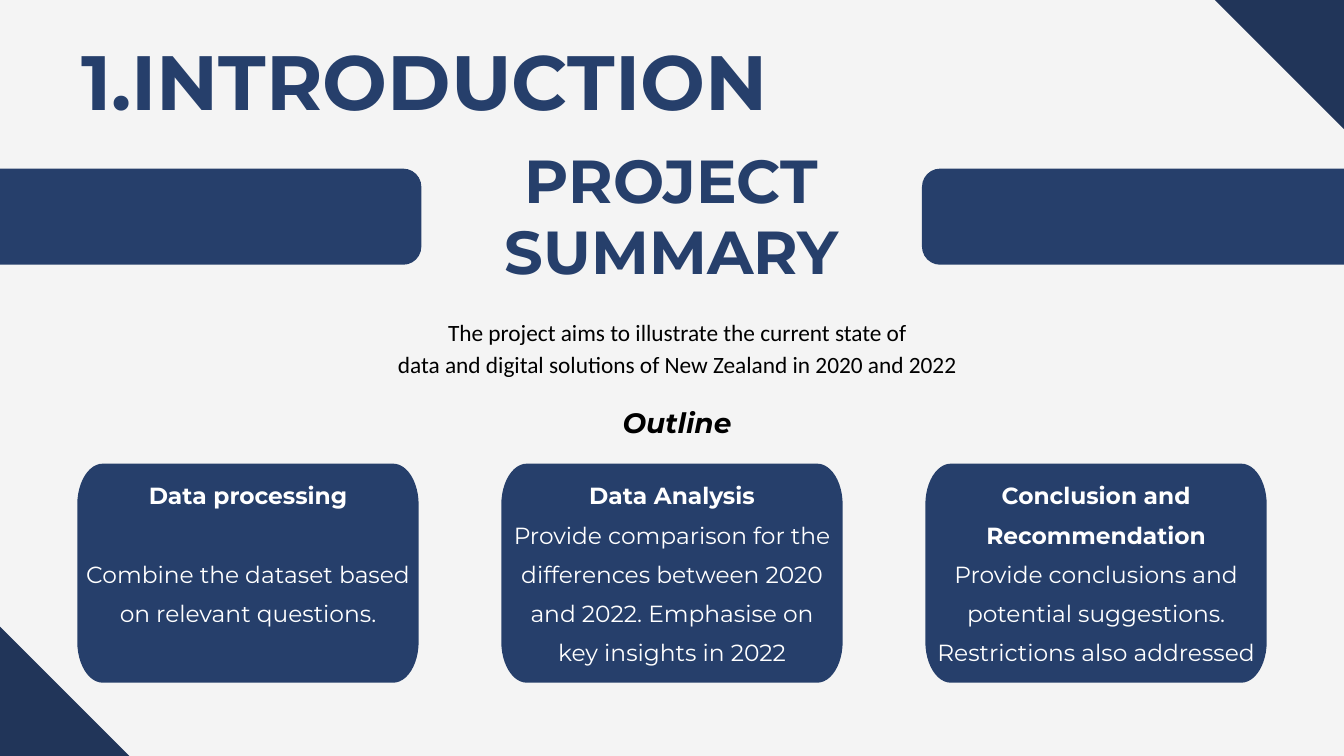
import math

from lxml import etree
from pptx import Presentation
from pptx.dml.color import RGBColor
from pptx.enum.shapes import MSO_SHAPE
from pptx.enum.text import MSO_ANCHOR, MSO_AUTO_SIZE, PP_ALIGN
from pptx.oxml.ns import qn
from pptx.util import Inches, Pt

RECTANGLE, ROUNDED = MSO_SHAPE.RECTANGLE, MSO_SHAPE.ROUNDED_RECTANGLE
TOP = MSO_ANCHOR.TOP
FIT_SHAPE = MSO_AUTO_SIZE.SHAPE_TO_FIT_TEXT
LEFT, CENTER = PP_ALIGN.LEFT, PP_ALIGN.CENTER

NAVY, DARK_NAVY, PALE, WHITE, BLACK = "263F6B", "213559", "F4F4F4", "FFFFFF", "000000"
HEADING_FONT, BODY_FONT = "Montserrat", "Calibri"

SECTION = "INTRODUCTION"
TITLE = "PROJECT SUMMARY"
AIMS = [
    "The project aims to illustrate the current state of",
    "data and digital solutions of New Zealand in 2020 and 2022",
]
OUTLINE = "Outline"
CARDS = [
    ("Data processing", "Combine the dataset based on relevant questions.", 42),
    ("Data Analysis", "Provide comparison for the differences between 2020 and 2022. "
     "Emphasise on key insights in 2022", 0),
    ("Conclusion and Recommendation", "Provide conclusions and potential suggestions. "
     "Restrictions also addressed", 0),
]

SLIDE_W, SLIDE_H = 20, 11.25
CORNER_W, CORNER_H = 5.79, 2.72
BAR_W, BAR_H, BAR_TOP, BAR_RADIUS = 9.02, 1.43, 2.51, 0.27
BAR_LEFTS = [-2.75, 13.72]
CARD_W, CARD_H, CARD_TOP = 5.08, 3.26, 6.9
CARD_RADIUS_X, CARD_RADIUS_Y = 0.38, 0.61
CARD_PITCH = 6.31
CARD_LEFT = (SLIDE_W - CARD_W) / 2 - CARD_PITCH
ARC_STEPS = 12


def color(value):
    return RGBColor.from_string(value)


def paint(shape, fill):
    shape.shadow.inherit = False
    shape.fill.solid()
    shape.fill.fore_color.rgb = color(fill)
    shape.line.fill.background()


def add_block(slide, kind, left, top, width, height, fill):
    block = slide.shapes.add_shape(kind, Inches(left), Inches(top), Inches(width), Inches(height))
    paint(block, fill)
    return block


def set_insets(frame, inset):
    frame.word_wrap = True
    frame.margin_left = frame.margin_right = Inches(inset)
    frame.margin_top = frame.margin_bottom = Inches(inset)


def add_text(slide, left, top, width, height, inset):
    box = slide.shapes.add_textbox(Inches(left), Inches(top), Inches(width), Inches(height))
    frame = box.text_frame
    set_insets(frame, inset)
    frame.auto_size = FIT_SHAPE
    return frame


def write(paragraph, text, size, font, ink, spacing, align=CENTER, bold=False, italic=False, before=0):
    paragraph.text = text
    paragraph.alignment = align
    paragraph.line_spacing = spacing
    if before:
        paragraph.space_before = Pt(before)
    for run in paragraph.runs:
        run.font.size = Pt(size)
        run.font.name = font
        run.font.bold = bold
        run.font.italic = italic
        run.font.color.rgb = color(ink)


def number(paragraph, ink):
    properties = paragraph._p.get_or_add_pPr()
    properties.set("marL", str(Inches(0.5)))
    properties.set("indent", str(Inches(-0.57)))
    bullet_color = etree.SubElement(properties, qn("a:buClr"))
    etree.SubElement(bullet_color, qn("a:srgbClr"), val=ink)
    etree.SubElement(properties, qn("a:buFont"), typeface=HEADING_FONT)
    etree.SubElement(properties, qn("a:buAutoNum"), type="arabicPeriod")


def card_outline(left):
    right, bottom = left + CARD_W, CARD_TOP + CARD_H
    inner_left, inner_right = left + CARD_RADIUS_X, right - CARD_RADIUS_X
    inner_top, inner_bottom = CARD_TOP + CARD_RADIUS_Y, bottom - CARD_RADIUS_Y
    centers = [(inner_right, inner_bottom), (inner_left, inner_bottom),
               (inner_left, inner_top), (inner_right, inner_top)]
    points = []
    for quarter, (x, y) in enumerate(centers):
        for step in range(ARC_STEPS + 1):
            angle = (quarter + step / ARC_STEPS) * math.pi / 2
            points.append((Inches(x + CARD_RADIUS_X * math.cos(angle)),
                           Inches(y + CARD_RADIUS_Y * math.sin(angle))))
    return points


def add_card(slide, left, heading, detail, gap):
    start, *rest = card_outline(left)
    builder = slide.shapes.build_freeform(*start)
    builder.add_line_segments(rest, close=True)
    card = builder.convert_to_shape()
    paint(card, NAVY)
    frame = card.text_frame
    set_insets(frame, 0.1)
    frame.vertical_anchor = TOP
    write(frame.paragraphs[0], heading, 25, HEADING_FONT, WHITE, 1.4, bold=True)
    write(frame.add_paragraph(), detail, 25, HEADING_FONT, WHITE, 1.4, before=gap)


def main():
    deck = Presentation()
    deck.slide_width, deck.slide_height = Inches(SLIDE_W), Inches(SLIDE_H)
    slide = deck.slides.add_slide(deck.slide_layouts[6])
    slide.background.fill.solid()
    slide.background.fill.fore_color.rgb = color(PALE)

    for x, y in [(0, SLIDE_H), (SLIDE_W, 0)]:
        corner = add_block(slide, RECTANGLE, x - CORNER_W / 2, y - CORNER_H / 2,
                           CORNER_W, CORNER_H, DARK_NAVY)
        corner.rotation = 45

    for left in BAR_LEFTS:
        bar = add_block(slide, ROUNDED, left, BAR_TOP, BAR_W, BAR_H, NAVY)
        bar.adjustments[0] = BAR_RADIUS / BAR_H

    title = add_text(slide, 6.75, 2.18, 6.49, 2.14, 0)
    write(title.paragraphs[0], TITLE, 65, HEADING_FONT, NAVY, 0.98, bold=True)

    section = add_text(slide, 1.11, 0.47, 11.19, 1.56, 0.1).paragraphs[0]
    number(section, NAVY)
    write(section, SECTION, 82.4, HEADING_FONT, NAVY, 0.98, align=LEFT, bold=True)

    summary = add_text(slide, 5.48, 4.57, 9.19, 2.01, 0.1)
    for index, aim in enumerate(AIMS):
        paragraph = summary.add_paragraph() if index else summary.paragraphs[0]
        write(paragraph, aim, 25, BODY_FONT, BLACK, 1.15)
    write(summary.add_paragraph(), OUTLINE, 30, HEADING_FONT, BLACK, 1.15,
          bold=True, italic=True, before=24)

    for index, card in enumerate(CARDS):
        add_card(slide, CARD_LEFT + index * CARD_PITCH, *card)

    deck.save("out.pptx")


if __name__ == "__main__":
    main()
